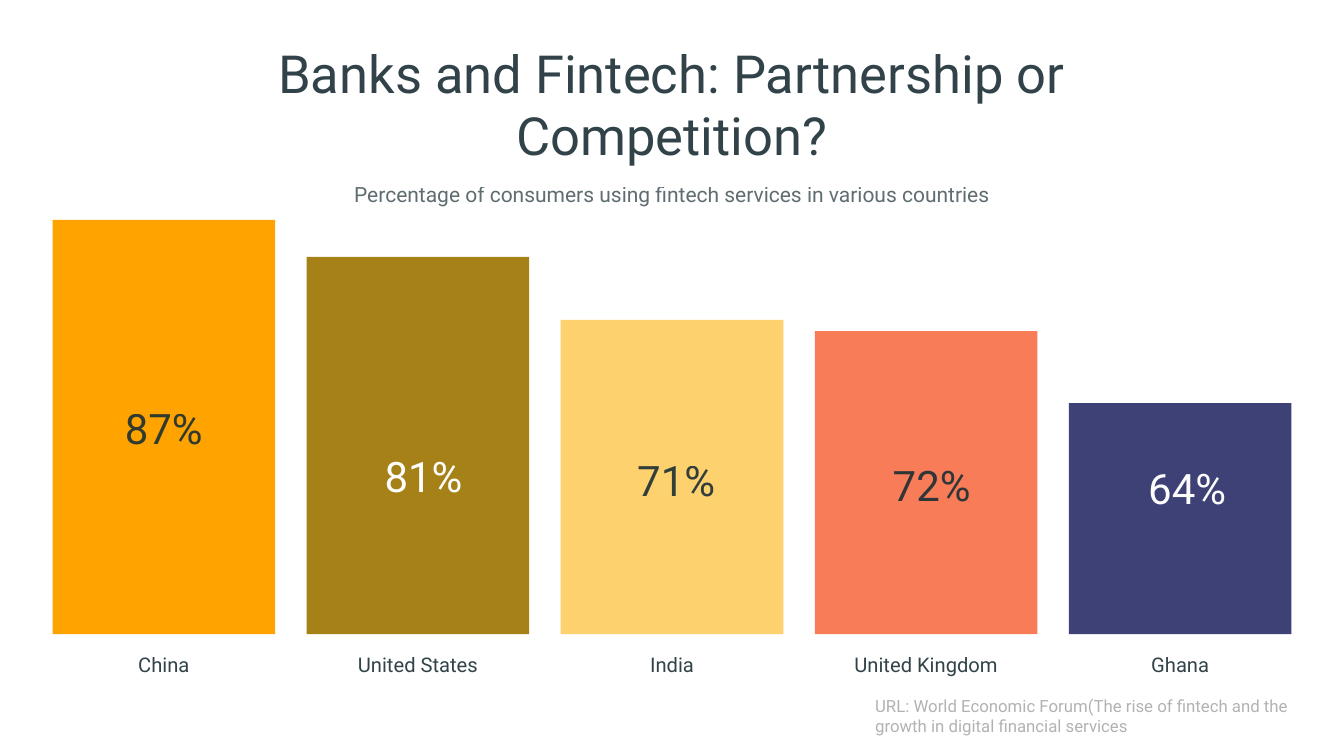
from lxml import etree
from pptx import Presentation
from pptx.dml.color import RGBColor
from pptx.enum.shapes import MSO_SHAPE
from pptx.enum.text import MSO_ANCHOR, PP_ALIGN
from pptx.oxml.ns import qn
from pptx.util import Pt

RECTANGLE = MSO_SHAPE.RECTANGLE
TOP = MSO_ANCHOR.TOP
LEFT, CENTER = PP_ALIGN.LEFT, PP_ALIGN.CENTER

# Content
TITLE = "Banks and Fintech: Partnership or Competition?"
SUBTITLE = "Percentage of consumers using fintech services in various countries"
SOURCE = ("URL: World Economic Forum(The rise of fintech and the "
          "growth in digital financial services")
INK, PALE, GREY = "1B2F35", "FDFDFD", "808080"
# country, share, bar height, bar colour, share colour, share opacity,
# share top, share shift from the bar's centre
COUNTRIES = [
    ("China", "87%", 296, "FFA300", INK, 90, 288, 0),
    ("United States", "81%", 269.5, "A68118", PALE, 100, 322.5, 4),
    ("India", "71%", 224.5, "FDD16E", INK, 90, 325.5, 3),
    ("United Kingdom", "72%", 216.5, "F87C57", INK, 90, 328.5, 4),
    ("Ghana", "64%", 165, "3D4176", PALE, 100, 331, 5),
]

# Layout in points
SLIDE_W, SLIDE_H = 960, 540
BARS_LEFT, BAR_W, BAR_PITCH, BASELINE = 37.5, 159, 181.5, 453
LABEL_W, SHARE_W = 175, 76


def rgb(hex_color):
    return RGBColor.from_string(hex_color)


def place(shape, left, top, width, height):
    shape.left, shape.top = Pt(left), Pt(top)
    shape.width, shape.height = Pt(width), Pt(height)


def write(shape, text, size, color, opacity, line=None, align=CENTER, inset=(0, 0)):
    frame = shape.text_frame
    frame.word_wrap = True
    frame.vertical_anchor = TOP
    frame.margin_left = frame.margin_right = Pt(inset[0])
    frame.margin_top = frame.margin_bottom = Pt(inset[1])
    frame.text = text
    paragraph = frame.paragraphs[0]
    paragraph.alignment = align
    paragraph.space_before = Pt(0)
    if line:
        paragraph.line_spacing = Pt(line)
    font = paragraph.font
    font.name, font.size, font.bold = "Roboto", Pt(size), False
    font.color.rgb = rgb(color)
    if opacity < 100:
        for tint in paragraph._p.iter(qn("a:srgbClr")):
            etree.SubElement(tint, qn("a:alpha"), val=str(opacity * 1000))


def add_text(slide, left, top, width, height, *args, **kwargs):
    box = slide.shapes.add_textbox(Pt(left), Pt(top), Pt(width), Pt(height))
    write(box, *args, **kwargs)


def add_bar(slide, left, height, color):
    bar = slide.shapes.add_shape(
        RECTANGLE, Pt(left), Pt(BASELINE - height), Pt(BAR_W), Pt(height))
    bar.shadow.inherit = False
    bar.fill.solid()
    bar.fill.fore_color.rgb = rgb(color)
    bar.line.fill.background()


def main():
    deck = Presentation()
    deck.slide_width, deck.slide_height = Pt(SLIDE_W), Pt(SLIDE_H)
    slide = deck.slides.add_slide(deck.slide_layouts[5])
    slide.background.fill.solid()
    slide.background.fill.fore_color.rgb = rgb("FFFFFF")

    # Heading
    title = slide.shapes.title
    place(title, 155.5, 30, 649, 88.8)
    write(title, TITLE, 37.5, INK, 90, 44.4)
    add_text(slide, 0, 127, SLIDE_W, 21, SUBTITLE, 15, "1C2F35", 70, 21)

    # One bar, country label and share per country
    for i, (country, share, height, fill, ink, opacity, top, shift) in enumerate(COUNTRIES):
        left = BARS_LEFT + i * BAR_PITCH
        center = left + BAR_W / 2
        add_bar(slide, left, height, fill)
        add_text(slide, center - LABEL_W / 2, 463, LABEL_W, 20.2,
                 country, 14.4, INK, 90, 20.2)
        add_text(slide, center + shift - SHARE_W / 2, top, SHARE_W, 35.5,
                 share, 30, ink, opacity, 35.5)

    # Source
    add_text(slide, 618, 493.2, 320, 36, SOURCE, 12, GREY, 60,
             align=LEFT, inset=(7.2, 3.6))
    deck.save("out.pptx")


if __name__ == "__main__":
    main()
